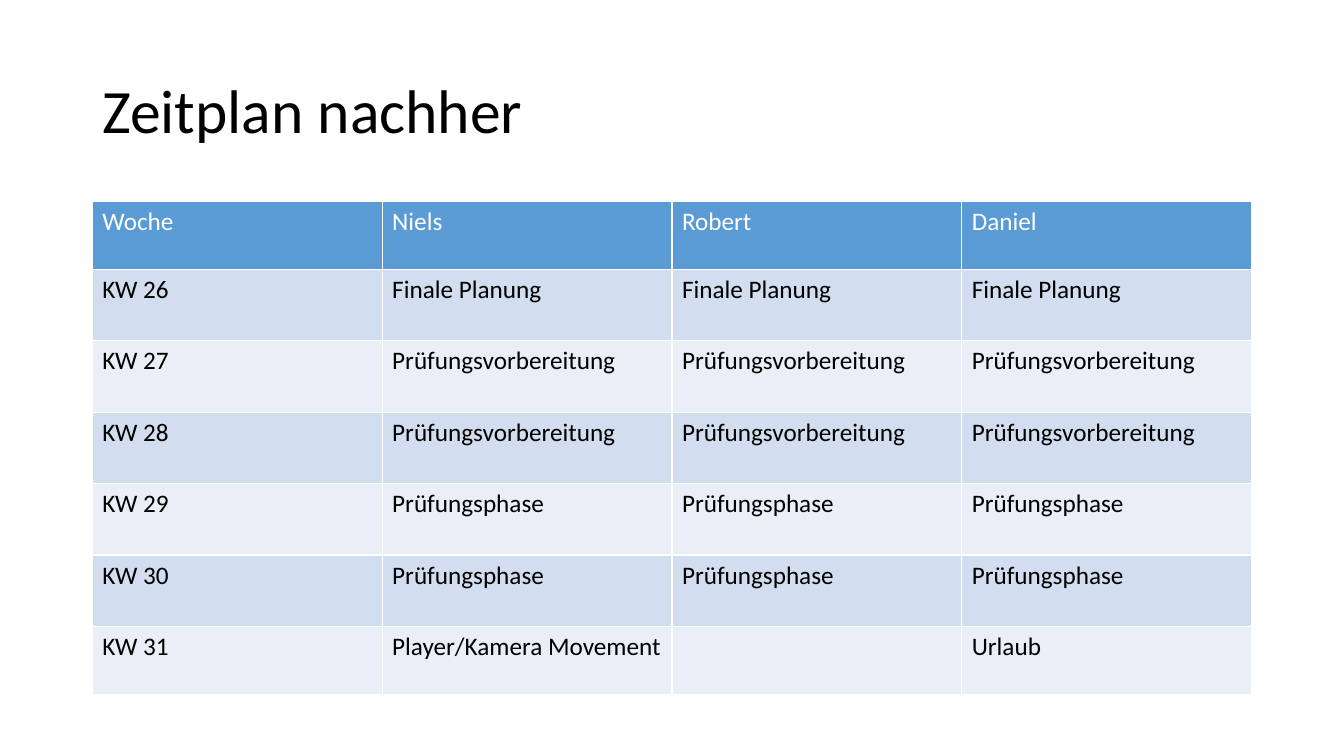
from lxml.etree import SubElement
from pptx import Presentation
from pptx.dml.color import RGBColor
from pptx.enum.text import MSO_ANCHOR
from pptx.oxml.ns import qn
from pptx.util import Pt

BLACK = RGBColor(0x00, 0x00, 0x00)
WHITE = RGBColor(0xFF, 0xFF, 0xFF)
HEADER_BLUE = RGBColor(0x5B, 0x9B, 0xD5)
BAND_DARK = RGBColor(0xD2, 0xDE, 0xEF)
BAND_LIGHT = RGBColor(0xEA, 0xEF, 0xF7)

FONT = "Calibri"
LEFT, WIDTH = Pt(66), Pt(828)
TABLE_TOP = Pt(144)
EDGE_ROW, INNER_ROW = Pt(48.5), Pt(51)

SCHEDULE = [
    ["Woche", "Niels", "Robert", "Daniel"],
    ["KW 26"] + ["Finale Planung"] * 3,
    ["KW 27"] + ["Prüfungsvorbereitung"] * 3,
    ["KW 28"] + ["Prüfungsvorbereitung"] * 3,
    ["KW 29"] + ["Prüfungsphase"] * 3,
    ["KW 30"] + ["Prüfungsphase"] * 3,
    ["KW 31", "Player/Kamera Movement", "", "Urlaub"],
]


def style_paragraph(para, size, color):
    """Set the font of a whole paragraph."""
    para.font.name = FONT
    para.font.size = Pt(size)
    para.font.bold = False
    para.font.color.rgb = color


def add_title(page, text):
    """Add the slide title, centred vertically in its box."""
    box = page.shapes.add_textbox(LEFT, Pt(29), WIDTH, Pt(104))
    frame = box.text_frame
    frame.word_wrap = True
    frame.vertical_anchor = MSO_ANCHOR.MIDDLE
    para = frame.paragraphs[0]
    para.text = text
    para.line_spacing = 0.9
    style_paragraph(para, 44, BLACK)


def add_borders(cell, color, width):
    """Draw a solid line on all four sides of a cell, before its fill is set."""
    properties = cell._tc.get_or_add_tcPr()
    for side in ("lnL", "lnR", "lnT", "lnB"):
        line = SubElement(properties, qn(f"a:{side}"), w=str(width))
        solid = SubElement(line, qn("a:solidFill"))
        SubElement(solid, qn("a:srgbClr"), val=str(color))


def fill_cell(cell, text, fill, color):
    """Write one table cell with its borders, fill and text."""
    add_borders(cell, WHITE, Pt(1))
    cell.fill.solid()
    cell.fill.fore_color.rgb = fill
    para = cell.text_frame.paragraphs[0]
    para.text = text
    style_paragraph(para, 18, color)


def add_schedule(page, rows):
    """Add the timetable with a header row and alternating bands."""
    row_count, column_count = len(rows), len(rows[0])
    height = 2 * EDGE_ROW + (row_count - 2) * INNER_ROW
    table = page.shapes.add_table(
        row_count, column_count, LEFT, TABLE_TOP, WIDTH, height).table
    for row_index, texts in enumerate(rows):
        is_edge = row_index in (0, row_count - 1)
        table.rows[row_index].height = EDGE_ROW if is_edge else INNER_ROW
        if row_index == 0:
            fill, color = HEADER_BLUE, WHITE
        else:
            fill, color = (BAND_DARK if row_index % 2 else BAND_LIGHT), BLACK
        for column_index, text in enumerate(texts):
            fill_cell(table.cell(row_index, column_index), text, fill, color)


def main():
    """Build the slide and save it."""
    deck = Presentation()
    deck.slide_width, deck.slide_height = Pt(960), Pt(540)
    page = deck.slides.add_slide(deck.slide_layouts[6])
    add_title(page, "Zeitplan nachher")
    add_schedule(page, SCHEDULE)
    deck.save("out.pptx")


main()
